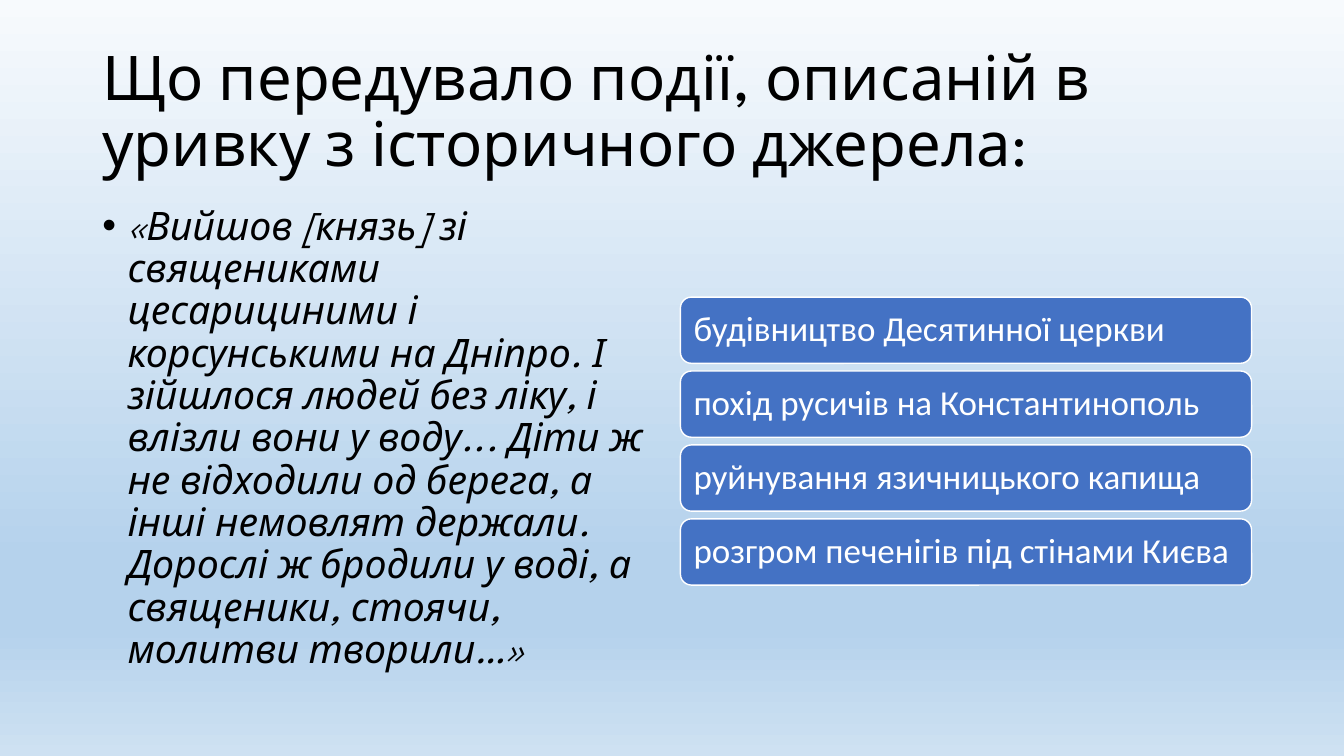
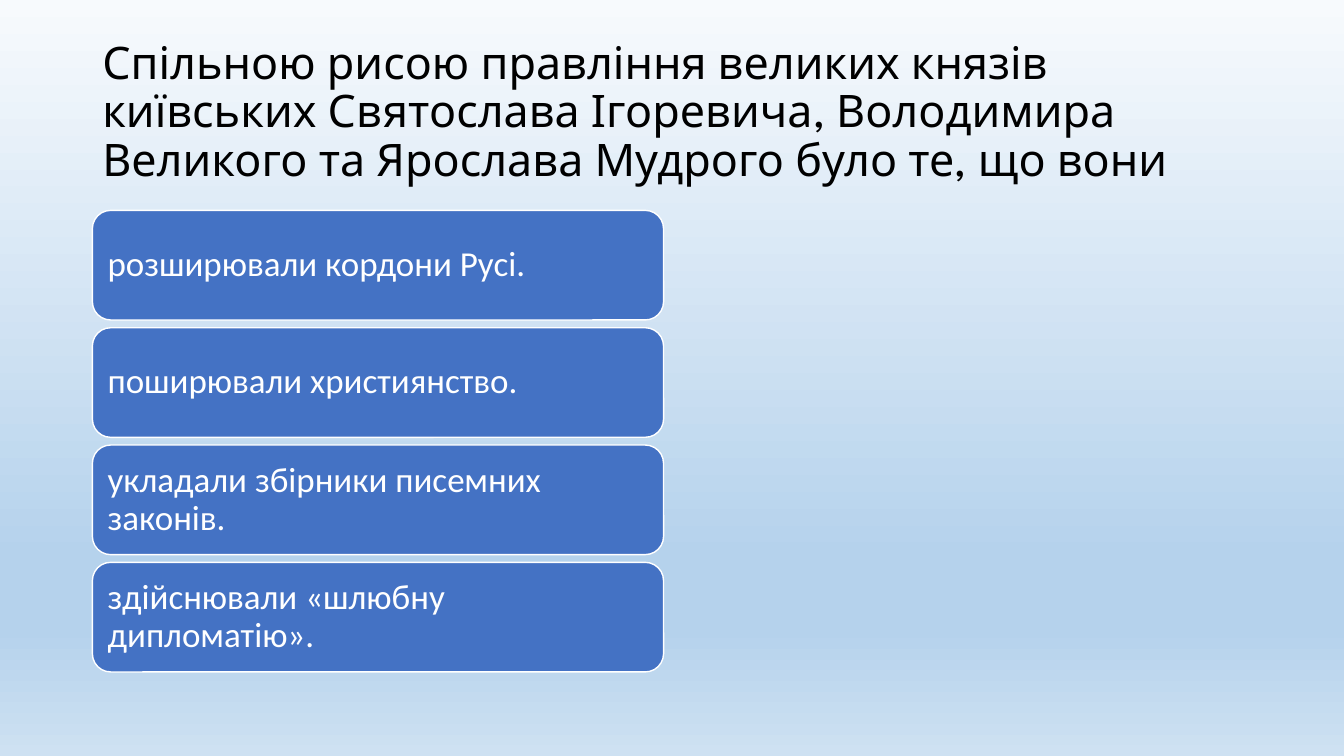
from lxml import etree
from pptx import Presentation
from pptx.dml.color import RGBColor
from pptx.enum.shapes import MSO_SHAPE
from pptx.enum.text import MSO_ANCHOR, PP_ALIGN
from pptx.oxml.ns import qn
from pptx.util import Pt

ROUNDED = MSO_SHAPE.ROUNDED_RECTANGLE
MIDDLE, TOP = MSO_ANCHOR.MIDDLE, MSO_ANCHOR.TOP
LEFT = PP_ALIGN.LEFT

COLORS = {"text": "000000", "box": "4472C4", "white": "FFFFFF"}
BACKGROUND = [(0, "F7FAFD"), (74, "B5D2EC"), (83, "B5D2EC"), (100, "CEE1F2")]
HEAD_FONT, BOX_FONT = "League Spartan", "Calibri"

# Content: answers start at (left, top) and each has the given height
SLIDES = [
    {
        "title": "Що передувало події, описаній в уривку з історичного джерела:",
        "title_size": 44,
        "quote": "«Вийшов [князь] зі священиками цесарициними і корсунськими на Дніпро. "
                 "І зійшлося людей без ліку, і влізли вони у воду... Діти ж не відходили "
                 "од берега, а інші немовлят держали. Дорослі ж бродили у воді, "
                 "а священики, стоячи, молитви творили…»",
        "answers": ["будівництво Десятинної церкви",
                    "похід русичів на Константинополь",
                    "руйнування язичницького капища",
                    "розгром печенігів під стінами Києва"],
        "left": 486, "top": 212.2, "height": 47.3,
    },
    {
        "title": "Спільною рисою правління великих князів київських Святослава "
                 "Ігоревича, Володимира Великого та Ярослава Мудрого було те, що вони",
        "title_size": 32,
        "quote": None,
        "answers": ["розширювали кордони Русі.",
                    "поширювали християнство.",
                    "укладали збірники писемних законів.",
                    "здійснювали «шлюбну дипломатію»."],
        "left": 66, "top": 150.3, "height": 78.3,
    },
]
MARGIN, TITLE_W, COLUMN_W, GAP = 66, 828, 408, 5.5


def rgb(name):
    return RGBColor.from_string(COLORS[name])


def set_background(master):
    fill = master.background.fill
    fill.gradient()
    fill.gradient_angle = 270
    stops = master.element.find(".//" + qn("a:gsLst"))
    for stop in list(stops):
        stops.remove(stop)
    for position, color in BACKGROUND:
        stop = etree.SubElement(stops, qn("a:gs"), pos=str(position * 1000))
        etree.SubElement(stop, qn("a:srgbClr"), val=color)


def write(sp, text, size, font, color, anchor, bullet=False):
    tf = sp.text_frame
    tf.word_wrap = True
    tf.vertical_anchor = anchor
    tf.text = text
    p = tf.paragraphs[0]
    p.alignment = LEFT
    p.line_spacing = 0.9
    if bullet:
        pPr = p._p.get_or_add_pPr()
        pPr.set("marL", str(Pt(18)))
        pPr.set("indent", str(-Pt(18)))
        etree.SubElement(pPr, qn("a:buFont"), typeface="Arial")
        etree.SubElement(pPr, qn("a:buChar"), char="•")
    r = p.runs[0]
    r.font.size, r.font.name = Pt(size), font
    r.font.color.rgb = rgb(color)
    return r


def add_text(s, x, y, w, h, *style, **options):
    sp = s.shapes.add_textbox(Pt(x), Pt(y), Pt(w), Pt(h))
    return write(sp, *style, **options)


def add_answer(s, text, x, y, h):
    sp = s.shapes.add_shape(ROUNDED, Pt(x), Pt(y), Pt(COLUMN_W), Pt(h))
    sp.shadow.inherit = False
    sp.fill.solid()
    sp.fill.fore_color.rgb = rgb("box")
    sp.line.color.rgb = rgb("white")
    sp.line.width = Pt(1)
    write(sp, text, 25, BOX_FONT, "white", MIDDLE)


def main():
    prs = Presentation()
    prs.slide_width, prs.slide_height = Pt(960), Pt(540)
    set_background(prs.slide_master)
    for data in SLIDES:
        s = prs.slides.add_slide(prs.slide_layouts[6])
        # Title
        add_text(s, MARGIN, 28.75, TITLE_W, 104.4, data["title"],
                 data["title_size"], HEAD_FONT, "text", MIDDLE)
        # Quotation from the chronicle
        if data["quote"]:
            r = add_text(s, MARGIN, 143.75, COLUMN_W, 342.6, data["quote"],
                         28, HEAD_FONT, "text", TOP, bullet=True)
            r.font.italic = True
        # Stack of answers
        for i, answer in enumerate(data["answers"]):
            y = data["top"] + i * (data["height"] + GAP)
            add_answer(s, answer, data["left"], y, data["height"])
    prs.save("out.pptx")


if __name__ == "__main__":
    main()
